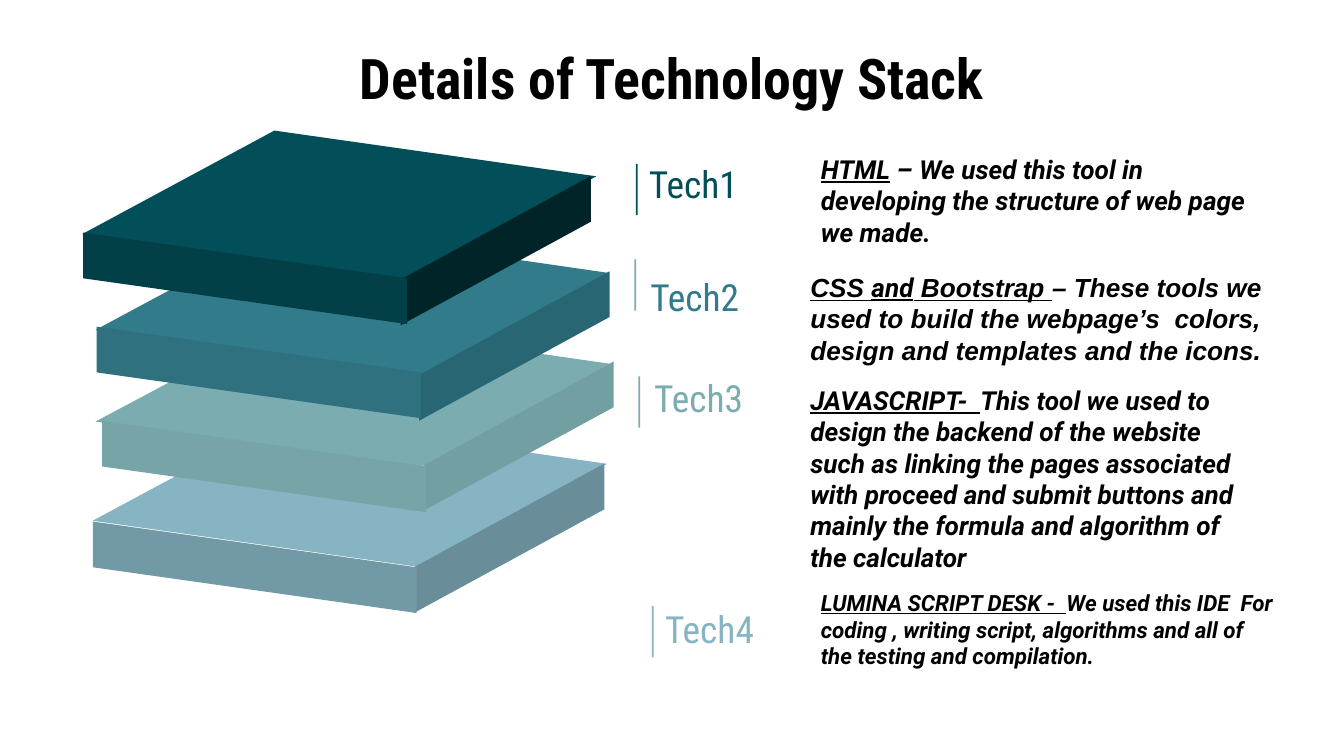
import pptx
import pptx.util
import pptx.dml.color
import pptx.enum.shapes
import pptx.enum.text

Pt = pptx.util.Pt
COLORS = {
    "text": "000000", "white": "FFFFFF",
    "top1": "024F59", "left1": "023F47", "right1": "012428",
    "top2": "327B8A", "left2": "2F717F", "right2": "296673",
    "top3": "7BACB0", "left3": "77A4A7", "right3": "729FA2",
    "top4": "86B4C2", "left4": "729AA6", "right4": "698E9A",
}
CONDENSED, ROBOTO, ARIAL = "Roboto Condensed", "Roboto", "Arial"
DEPTH = 24.5


def rgb(name):
    return pptx.dml.color.RGBColor.from_string(COLORS[name])


def add_span(para, text, size=14, font=ROBOTO, color="text", bold=False,
             italic=False, underline=False):
    span = para.add_run()
    span.text = text
    span.font.size = Pt(size)
    span.font.name = font
    span.font.color.rgb = rgb(color)
    span.font.bold = bold
    span.font.italic = italic
    span.font.underline = underline


class StackSlide:
    def __init__(self, page):
        self.page = page

    def frame(self, box, inset):
        frame = box.text_frame
        frame.word_wrap = True
        frame.auto_size = pptx.enum.text.MSO_AUTO_SIZE.NONE
        frame.vertical_anchor = pptx.enum.text.MSO_ANCHOR.TOP
        frame.margin_left = frame.margin_right = Pt(7.2)
        frame.margin_top = frame.margin_bottom = Pt(inset)
        return frame.paragraphs[0]

    def title(self, text, left, top, width, height):
        box = self.page.shapes.title
        box.left, box.top, box.width, box.height = map(Pt, (left, top, width, height))
        para = self.frame(box, 7.2)
        para.alignment = pptx.enum.text.PP_ALIGN.CENTER
        add_span(para, text, size=30, font=CONDENSED, bold=True)

    def text(self, left, top, width, height, inset=7.2):
        box = self.page.shapes.add_textbox(Pt(left), Pt(top), Pt(width), Pt(height))
        return self.frame(box, inset)

    def paint(self, shape, color):
        shape.fill.solid()
        shape.fill.fore_color.rgb = rgb(color)
        shape.line.fill.background()
        shape.shadow.inherit = False

    def face(self, origin, points, color):
        corners = [(Pt(origin[0] + x), Pt(origin[1] + y)) for x, y in points]
        builder = self.page.shapes.build_freeform(*corners[0])
        builder.add_line_segments(corners[1:], close=True)
        self.paint(builder.convert_to_shape(), color)

    def side(self, origin, width, rise, color):
        points = [(0, 0), (0, DEPTH), (width, rise + DEPTH), (width, rise)]
        self.face(origin, points, color)

    def bar(self, left, top, color):
        shape = self.page.shapes.add_shape(
            pptx.enum.shapes.MSO_SHAPE.RECTANGLE, Pt(left), Pt(top), Pt(1), Pt(27.5))
        self.paint(shape, color)


FULL = [(103, 0), (0, 55.5), (173.5, 80), (275.5, 24.5)]
NOTCHED = [(210, 0), (156, 29.5), (47.5, 14.5), (0, 40), (173, 64.5), (275.5, 9.5)]
SHALLOW = [(237.5, 0), (190.5, 26), (55.5, 7), (0, 36.5), (173.5, 61), (275.5, 5.5)]

TIERS = [
    (4, NOTCHED, (49.7, 239), (49.7, 279.4), (221.8, 303.9)),
    (3, SHALLOW, (51.1, 189.4), (54.7, 225.4), (226.8, 249.2)),
    (2, NOTCHED, (51.1, 136.8), (51.8, 175), (224.6, 200.9)),
    (1, FULL, (44, 70), (44.6, 124.6), (214.6, 149.8)),
]
LABELS = [
    (1, "top1", (340.6, 87.8), (340.6, 79.2)),
    (2, "top3", (339.8, 139), (341.3, 139.7)),
    (3, "top3", (342, 201.6), (343.4, 193.7)),
    (4, "top4", (349.2, 324.7), (349.2, 317.5)),
]
DETAILS = [
    ((432.7, 74.9, 256.3, 59), 7.2, 14, [
        ("HTML", ROBOTO, True),
        (" – We used this tool in developing the structure of web page we made. ",
         ROBOTO, False)]),
    ((427, 141.8, 262, 58.3), 3.6, 14, [
        ("CSS ", ARIAL, True), ("and", ROBOTO, True), (" Bootstrap ", ARIAL, True),
        ("– These tools we used to build the webpage’s  colors, design and "
         "templates and the icons.  ", ARIAL, False)]),
    ((427, 198.7, 256.3, 59), 7.2, 14, [
        ("JAVASCRIPT-  ", ROBOTO, True),
        ("This tool we used to design the backend of the website such as linking "
         "the pages associated with proceed and submit buttons and mainly the "
         "formula and algorithm of the calculator", ROBOTO, False)]),
    ((432.7, 308.2, 256.3, 59), 7.2, 12, [
        ("LUMINA SCRIPT DESK -  ", ROBOTO, True),
        ("We used this IDE  For coding , writing script, algorithms and all of "
         "the testing and compilation.", ROBOTO, False)]),
]

deck = pptx.Presentation()
deck.slide_width, deck.slide_height = Pt(720), Pt(405)
page = deck.slides.add_slide(deck.slide_layouts[5])
page.background.fill.solid()
page.background.fill.fore_color.rgb = rgb("white")
stack = StackSlide(page)

stack.title("Details of Technology Stack", 182, 16, 356, 49)
for number, outline, top_at, left_at, right_at in TIERS:
    stack.face(top_at, outline, f"top{number}")
    stack.side(right_at, 102, -55.5, f"right{number}")
    stack.side(left_at, 173.5, 24.5, f"left{number}")

for number, bar_color, bar_at, label_at in LABELS:
    stack.bar(*bar_at, bar_color)
    para = stack.text(*label_at, 102, 28)
    add_span(para, f"Tech{number}", size=20, font=CONDENSED, color=f"top{number}")

for area, inset, size, spans in DETAILS:
    para = stack.text(*area, inset=inset)
    for text, font, underline in spans:
        add_span(para, text, size=size, font=font, bold=True, italic=True,
                 underline=underline)

deck.save("out.pptx")
